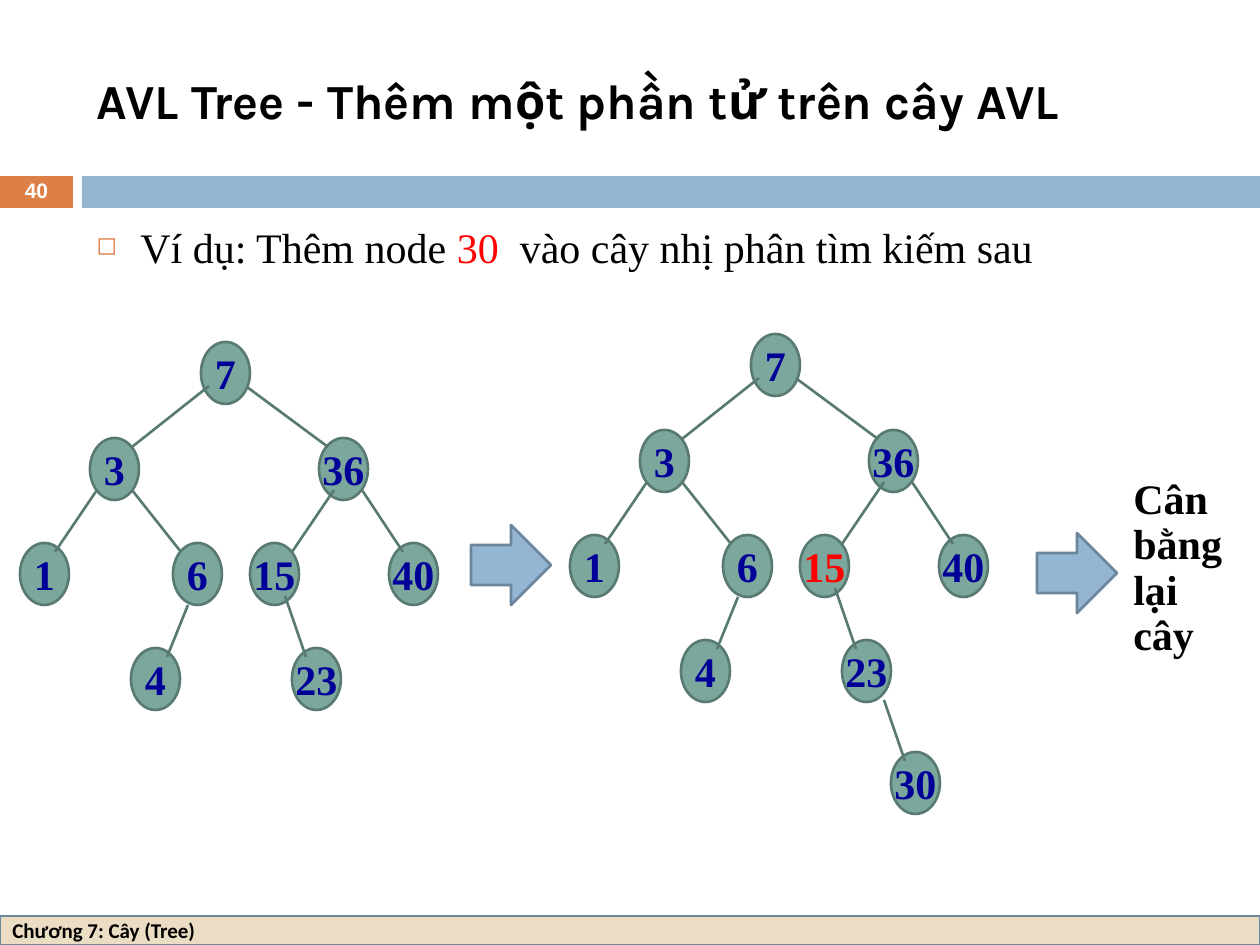
import pptx
import pptx.util
import pptx.dml.color
import pptx.enum.shapes
import pptx.enum.text
import pptx.oxml.ns
import lxml.etree

PX = 914400 / 126
COLORS = {
    "orange": "DD8047", "blue": "94B6D2", "blue_line": "6B859A", "sand": "EBDDC3",
    "node": "7BA79D", "node_line": "597A72", "navy": "000099",
    "red": "FF0000", "black": "000000", "white": "FFFFFF",
}
SHAPES = pptx.enum.shapes.MSO_SHAPE
MIDDLE = pptx.enum.text.MSO_ANCHOR.MIDDLE
TOP = pptx.enum.text.MSO_ANCHOR.TOP
CENTER = pptx.enum.text.PP_ALIGN.CENTER


def add_block(shapes, kind, box, fill, line=None):
    shape = shapes.add_shape(kind, *[round(value * PX) for value in box])
    shape.shadow.inherit = False
    shape.fill.solid()
    shape.fill.fore_color.rgb = pptx.dml.color.RGBColor.from_string(COLORS[fill])
    if line:
        shape.line.color.rgb = pptx.dml.color.RGBColor.from_string(COLORS[line])
        shape.line.width = pptx.util.Pt(1.5)
    else:
        shape.line.fill.background()
    return shape


def write(shape, text, size, name, color, bold=True, anchor=MIDDLE, align=None, wrap=True):
    frame = shape.text_frame
    frame.word_wrap = wrap
    frame.vertical_anchor = anchor
    paragraph = frame.paragraphs[0]
    paragraph.text = text
    paragraph.alignment = align or pptx.enum.text.PP_ALIGN.LEFT
    paragraph.font.size = pptx.util.Pt(size)
    paragraph.font.name = name
    paragraph.font.bold = bold
    paragraph.font.color.rgb = pptx.dml.color.RGBColor.from_string(COLORS[color])
    return paragraph


presentation = pptx.Presentation()
presentation.slide_width = round(1260 * PX)
presentation.slide_height = round(945 * PX)
slide = presentation.slides.add_slide(presentation.slide_layouts[6])

add_block(slide.shapes, SHAPES.RECTANGLE, (0, 176, 73, 32), "orange")
add_block(slide.shapes, SHAPES.RECTANGLE, (82, 176, 1178, 32), "blue")
footer = add_block(slide.shapes, SHAPES.RECTANGLE, (0, 916, 1260, 29), "sand", "blue_line")
write(footer, "Chương 7: Cây (Tree)", 12, "Calibri", "black")

title, body, number, conclusion = [
    slide.shapes.add_textbox(*[round(value * PX) for value in box])
    for box in [(84, 32, 1124, 136), (84, 221, 1124, 63), (0, 175, 73, 34), (1121, 472, 124, 206)]
]
write(title, "AVL Tree - Thêm một phần tử trên cây AVL", 28, "Karla", "black")
write(number, "40", 12, "Arial", "white", align=CENTER).line_spacing = 0.8
write(conclusion, "Cân bằng lại cây", 24, "Times New Roman", "black", anchor=TOP).line_spacing = 0.9

paragraph = body.text_frame.paragraphs[0]
paragraph.line_spacing = 0.9
properties = paragraph._p.get_or_add_pPr()
properties.set("marL", str(round(44 * PX)))
properties.set("indent", str(round(-44 * PX)))
bullet_color = lxml.etree.SubElement(properties, pptx.oxml.ns.qn("a:buClr"))
lxml.etree.SubElement(bullet_color, pptx.oxml.ns.qn("a:srgbClr"), val=COLORS["orange"])
lxml.etree.SubElement(properties, pptx.oxml.ns.qn("a:buSzPct"), val="60000")
lxml.etree.SubElement(properties, pptx.oxml.ns.qn("a:buChar"), char="◻")
write(body, "Ví dụ: Thêm node", 24, "Times New Roman", "black", bold=False, anchor=TOP)
for text, color in [(" 30", "red"), ("  vào cây nhị phân tìm kiếm sau", "black")]:
    run = paragraph.add_run()
    run.text = text
    run.font.color.rgb = pptx.dml.color.RGBColor.from_string(COLORS[color])

nodes = [
    ("7", 181, 0), ("3", 70, 96), ("36", 299, 96), ("1", 0, 201), ("6", 153, 201),
    ("15", 230, 201), ("40", 369, 201), ("23", 272, 306), ("4", 111, 306),
]
edges = [
    (189, 44, 112, 105), (227, 45, 308, 105), (77, 148, 35, 210), (112, 148, 161, 210),
    (168, 263, 147, 315), (314, 148, 272, 210), (342, 148, 383, 210), (265, 254, 286, 315),
]
trees = [
    (570, 334, nodes + [("30", 321, 418)], edges + [(314, 366, 335, 427)], "15"),
    (20, 342, nodes, edges, None),
]
for left, top, tree_nodes, tree_edges, highlighted in trees:
    group = slide.shapes.add_group_shape()
    for label, x, y in tree_nodes:
        node = add_block(group.shapes, SHAPES.OVAL, (left + x, top + y, 49, 62), "node", "node_line")
        color = "red" if label == highlighted else "navy"
        write(node, label, 24, "Times New Roman", color, align=CENTER, wrap=False)
    for x1, y1, x2, y2 in tree_edges:
        ends = (left + x1, top + y1, left + x2, top + y2)
        edge = group.shapes.add_connector(
            pptx.enum.shapes.MSO_CONNECTOR.STRAIGHT, *[round(value * PX) for value in ends])
        edge.line.color.rgb = pptx.dml.color.RGBColor.from_string(COLORS["node_line"])
        edge.line.width = pptx.util.Pt(1.5)
        lxml.etree.SubElement(edge._element.spPr, pptx.oxml.ns.qn("a:effectLst"))

for left, top in [(471, 525), (1037, 533)]:
    add_block(slide.shapes, SHAPES.RIGHT_ARROW, (left, top, 80, 80), "blue", "blue_line")

presentation.save("out.pptx")
